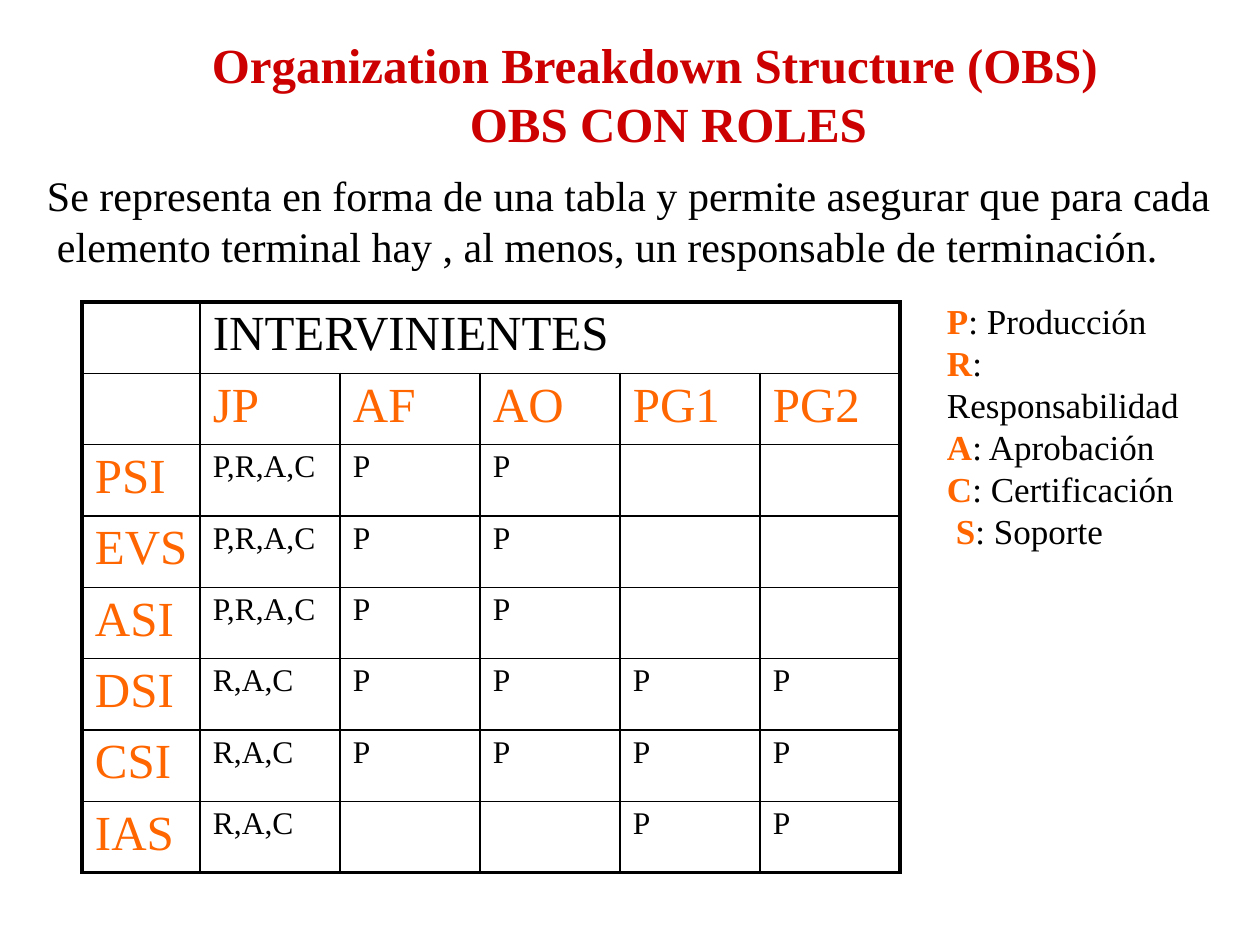
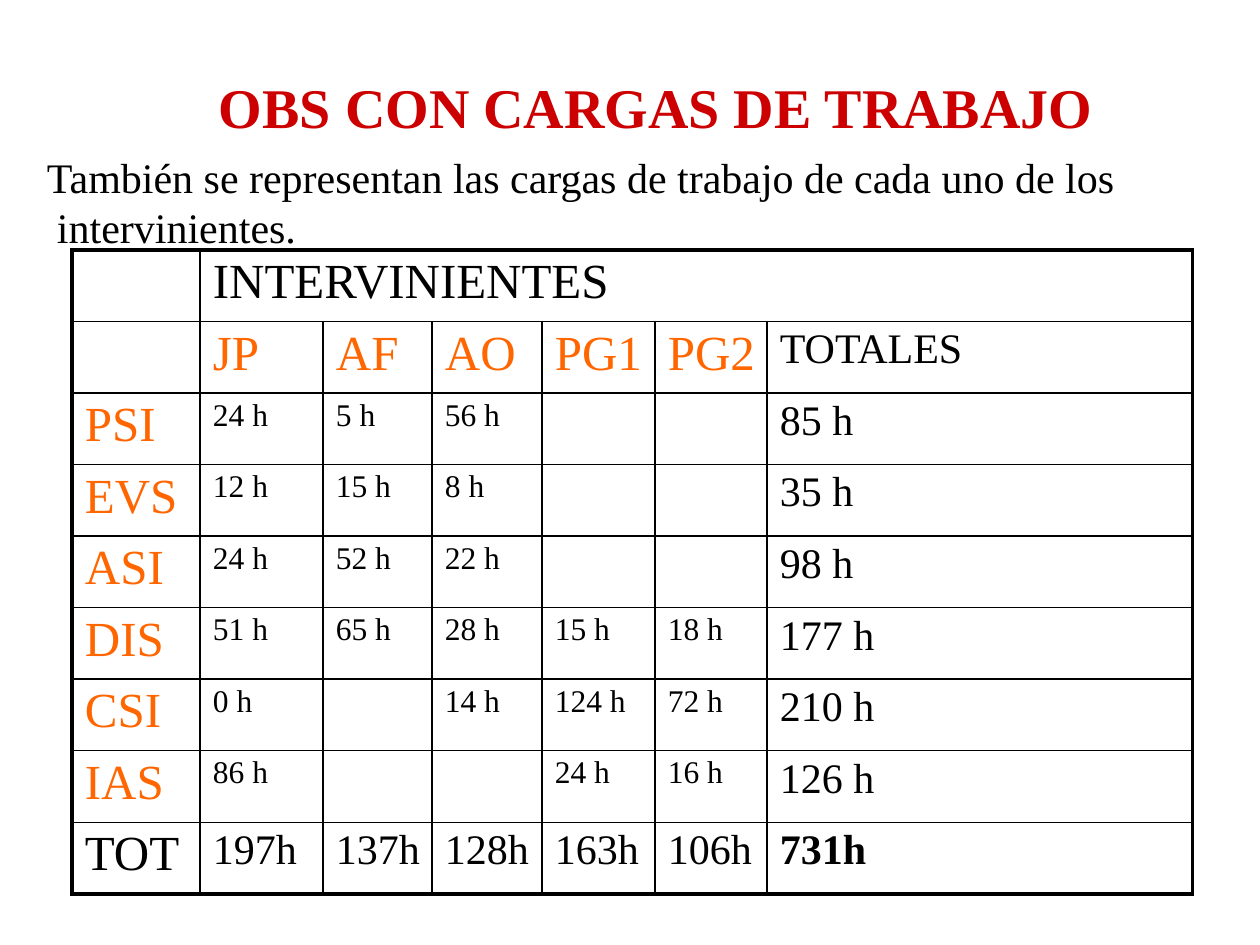
from lxml import etree
from pptx import Presentation
from pptx.dml.color import RGBColor
from pptx.oxml.ns import qn
from pptx.util import Emu, Pt

FONT = "Times New Roman"
RED, ORANGE, BLACK = "CC0000", "FF6600", "000000"
EMU_PER_PX = 914400 / 126
THIN, THICK = 1, 2.25
CELL_INSET = 13

BODY = {"size": Pt(24)}
LEGEND = {"size": Pt(20)}
LABEL = {"size": Pt(28), "color": ORANGE}
HEADER = {"size": Pt(28)}
TOTAL = {"size": Pt(24)}
GRAND_TOTAL = {"size": Pt(24), "bold": True}
VALUE = {"size": Pt(18)}

ROLES = [
    ["", "INTERVINIENTES", "", "", "", ""],
    ["", "JP", "AF", "AO", "PG1", "PG2"],
    ["PSI", "P,R,A,C", "P", "P", "", ""],
    ["EVS", "P,R,A,C", "P", "P", "", ""],
    ["ASI", "P,R,A,C", "P", "P", "", ""],
    ["DSI", "R,A,C", "P", "P", "P", "P"],
    ["CSI", "R,A,C", "P", "P", "P", "P"],
    ["IAS", "R,A,C", "", "", "P", "P"],
]
WORKLOADS = [
    ["", "INTERVINIENTES", "", "", "", "", ""],
    ["", "JP", "AF", "AO", "PG1", "PG2", "TOTALES"],
    ["PSI", "24 h", "5 h", "56 h", "", "", "85 h"],
    ["EVS", "12 h", "15 h", "8 h", "", "", "35 h"],
    ["ASI", "24 h", "52 h", "22 h", "", "", "98 h"],
    ["DIS", "51 h", "65 h", "28 h", "15 h", "18 h", "177 h"],
    ["CSI", "0 h", "", "14 h", "124 h", "72 h", "210 h"],
    ["IAS", "86 h", "", "", "24 h", "16 h", "126 h"],
    ["TOT", "197h", "137h", "128h", "163h", "106h", "731h"],
]
# Letter, meaning and extra indent of each role
LEGEND_LINES = [
    ("P", ": Producción", 0),
    ("R", ":\vResponsabilidad", 0),
    ("A", ": Aprobación", 0),
    ("C", ": Certificación", 0),
    ("S", ": Soporte", 9),
]


def px(length):
    return Emu(round(length * EMU_PER_PX))


def color(hex_text):
    return RGBColor.from_string(hex_text)


def add_span(para, text, values):
    """Add text to a paragraph; a vertical tab starts a new line."""
    for number, line in enumerate(text.split("\v")):
        if number:
            para.add_line_break()
        span = para.add_run()
        span.text = line
        settings = {"name": FONT, "bold": False, "color": BLACK, **values}
        span.font.color.rgb = color(settings.pop("color"))
        for name, value in settings.items():
            setattr(span.font, name, value)


def set_para(para, size, before=0, margin=0, indent=0):
    para.line_spacing = Pt(size * 1.2)
    para.space_before = Pt(before)
    properties = para._p.get_or_add_pPr()
    properties.set("marL", str(px(margin)))
    properties.set("indent", str(px(indent)))


def add_text_box(page, box):
    frame = page.shapes.add_textbox(*map(px, box)).text_frame
    margins = {"left": 0, "top": px(2), "right": 0, "bottom": 0}
    for side, value in margins.items():
        setattr(frame, f"margin_{side}", value)
    frame.word_wrap = True
    return frame


def add_title(page, box, text, size, margin=2, indent=0):
    para = add_text_box(page, box).paragraphs[0]
    set_para(para, size, 1, margin, indent)
    add_span(para, text, {"size": Pt(size), "bold": True, "color": RED})


def add_intro(page, box, text):
    frame = add_text_box(page, box)
    set_para(frame.paragraphs[0], 24, 1, 12, -10)
    add_span(frame.paragraphs[0], text, BODY)
    return frame


def add_legend(frame, margin):
    for number, (letter, meaning, shift) in enumerate(LEGEND_LINES):
        para = frame.add_paragraph()
        set_para(para, 20, 0 if number else 16.4, margin, shift)
        add_span(para, letter, {**LEGEND, "bold": True, "color": ORANGE})
        add_span(para, meaning, LEGEND)


def set_borders(cell, widths):
    properties = cell._tc.get_or_add_tcPr()
    for place, (side, width) in enumerate(widths.items()):
        line = etree.Element(qn(f"a:ln{side}"), w=str(Pt(width)))
        fill = etree.SubElement(line, qn("a:solidFill"))
        etree.SubElement(fill, qn("a:srgbClr"), val=BLACK)
        properties.insert(place, line)


def cell_format(row, col, rows):
    in_total_col = rows[1][col] == "TOTALES"
    in_total_row = rows[row][0] == "TOT"
    if row == 0 or (in_total_row and col == 0):
        return HEADER
    if in_total_row and in_total_col:
        return GRAND_TOTAL
    if in_total_row or in_total_col:
        return TOTAL
    return LABEL if row == 1 or col == 0 else VALUE


def add_matrix(page, box, rows, col_widths):
    left, top, height = box
    last_row, last_col = len(rows) - 1, len(col_widths) - 1
    frame = page.shapes.add_table(len(rows), len(col_widths), px(left), px(top),
                                  px(sum(col_widths)), px(height))
    table = frame.table
    table.first_row = table.horz_banding = False
    for column, width in zip(table.columns, col_widths):
        column.width = px(width)
    for line in table.rows:
        line.height = px(height / len(rows))
    table.cell(0, 1).merge(table.cell(0, last_col))

    for row, texts in enumerate(rows):
        for col, text in enumerate(texts):
            cell = table.cell(row, col)
            margins = {"left": px(CELL_INSET), "top": px(5), "right": 0, "bottom": 0}
            for side, value in margins.items():
                setattr(cell, f"margin_{side}", value)
            cell.fill.background()
            end_col = last_col if cell.is_merge_origin else col
            set_borders(cell, {
                "L": THICK if col == 0 else THIN,
                "R": THICK if end_col == last_col else THIN,
                "T": THICK if row == 0 else THIN,
                "B": THICK if row == last_row else THIN,
            })
            if text:
                para = cell.text_frame.paragraphs[0]
                para.space_before = Pt(2.8)
                add_span(para, text, cell_format(row, col, rows))


def build_roles(page):
    # Intro and legend share one text box
    frame = add_intro(page, (45, 168, 1179, 343),
                      "Se representa en forma de una tabla y permite asegurar que para cada"
                      "\velemento terminal hay , al menos, un responsable de terminación.")
    add_legend(frame, 902)
    add_title(page, (210, 33, 892, 121),
              "Organization Breakdown Structure (OBS)\vOBS CON ROLES", 28, 260, -258)
    add_matrix(page, (82, 302, 571), ROLES, [118] + [140] * 5)


def build_workloads(page):
    add_title(page, (217, 71, 890, 71), "OBS CON CARGAS DE TRABAJO", 32)
    add_intro(page, (45, 149, 1080, 105),
              "También se representan las cargas de trabajo de cada uno de los"
              "\vintervinientes.")
    add_matrix(page, (72, 250, 644), WORKLOADS, [128, 123, 109, 110, 113, 112, 426])


def main():
    deck = Presentation()
    deck.slide_width, deck.slide_height = px(1260), px(945)
    for build in (build_roles, build_workloads):
        build(deck.slides.add_slide(deck.slide_layouts[6]))
    deck.save("out.pptx")


if __name__ == "__main__":
    main()
